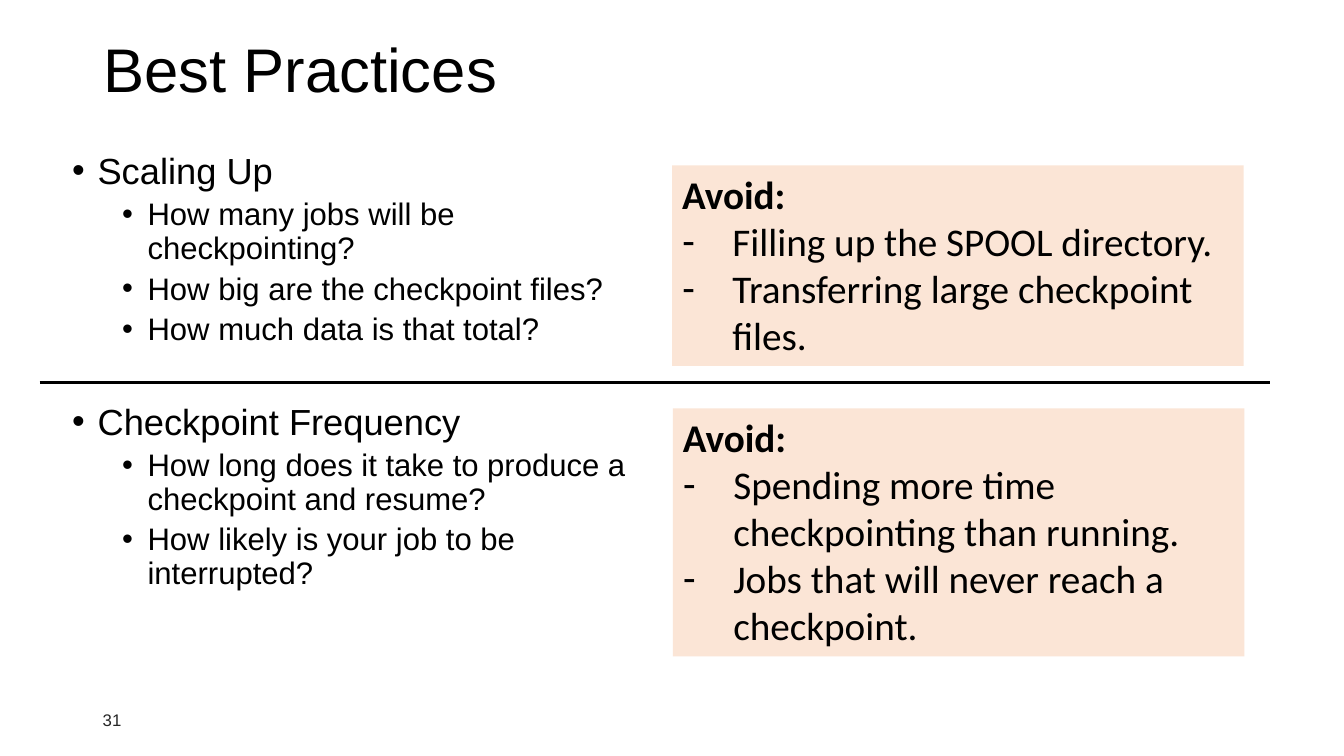
from dataclasses import dataclass

from lxml import etree
from pptx import Presentation
from pptx.dml.color import RGBColor
from pptx.enum.shapes import MSO_CONNECTOR, MSO_SHAPE
from pptx.enum.text import MSO_ANCHOR, PP_ALIGN
from pptx.oxml.ns import qn
from pptx.util import Cm, Pt

RECTANGLE = MSO_SHAPE.RECTANGLE
STRAIGHT = MSO_CONNECTOR.STRAIGHT
TOP, MIDDLE = MSO_ANCHOR.TOP, MSO_ANCHOR.MIDDLE
LEFT = PP_ALIGN.LEFT


@dataclass(frozen=True)
class Theme:
    ink: RGBColor = RGBColor(0x00, 0x00, 0x00)
    page_ink: RGBColor = RGBColor(0x26, 0x26, 0x26)
    callout_fill: RGBColor = RGBColor(0xFB, 0xE5, 0xD6)
    slide_font: str = "Arial"
    callout_font: str = "Calibri"
    title_size: float = 44
    topic_size: float = 25.9
    question_size: float = 22.2
    callout_size: float = 28
    page_size: float = 12
    rule_width: float = 2.25
    line_spacing: float = 0.9


THEME = Theme()

# Boxes are left, top, width, height in centimetres.
TITLE_BOX = (2.36, 0, 29.21, 3.68)
PAGE_BOX = (2.34, 17.65, 9.4, 1.02)
DIVIDER_BOX = (1, 9.63, 31, 0)

SECTIONS = [
    {
        "topic": "Scaling Up",
        "questions": [
            "How many jobs will be checkpointing?",
            "How big are the checkpoint files?",
            "How much data is that total?",
        ],
        "topic_box": (1.57, 3.73, 14.91, 5.5),
        "pitfalls": [
            "Filling up the SPOOL directory.",
            "Transferring large checkpoint files.",
        ],
        "callout_box": (16.94, 4.17, 14.4, 5.05),
    },
    {
        "topic": "Checkpoint Frequency",
        "questions": [
            "How long does it take to produce a checkpoint and resume?",
            "How likely is your job to be interrupted?",
        ],
        "topic_box": (1.57, 10.05, 14.91, 5.5),
        "pitfalls": [
            "Spending more time checkpointing than running.",
            "Jobs that will never reach a checkpoint.",
        ],
        "callout_box": (16.96, 10.29, 14.4, 6.25),
    },
]


def to_lengths(box):
    return [Cm(value) for value in box]


def set_bullet(paragraph, mark, margin, hang):
    properties = paragraph._p.get_or_add_pPr()
    properties.set("marL", str(Cm(margin)))
    properties.set("indent", str(-Cm(hang)))
    bullet_font = etree.SubElement(properties, qn("a:buFont"))
    bullet_font.set("typeface", THEME.slide_font)
    etree.SubElement(properties, qn("a:buChar")).set("char", mark)


def set_font(paragraph, name, size, color=THEME.ink, bold=False):
    font = paragraph.font
    font.name, font.size, font.bold = name, Pt(size), bold
    font.color.rgb = color


def fill_lines(frame, lines):
    """Put one line in each paragraph and return the paragraphs."""
    frame.word_wrap = True
    frame.text = "\n".join(lines)
    for paragraph in frame.paragraphs:
        paragraph.alignment = LEFT
    return frame.paragraphs


def add_label(slide, box, text, size, color):
    """Add a single line, centred vertically in its box."""
    frame = slide.shapes.add_textbox(*to_lengths(box)).text_frame
    frame.vertical_anchor = MIDDLE
    (line,) = fill_lines(frame, [text])
    line.line_spacing = THEME.line_spacing
    set_font(line, THEME.slide_font, size, color)


def add_topic(slide, box, topic, questions):
    frame = slide.shapes.add_textbox(*to_lengths(box)).text_frame
    heading, *details = fill_lines(frame, [topic, *questions])
    heading.space_before = Pt(10)
    set_bullet(heading, "•", 0.64, 0.64)
    set_font(heading, THEME.slide_font, THEME.topic_size)
    for question in details:
        question.level = 1
        question.space_before = Pt(5)
        set_bullet(question, "•", 1.9, 0.64)
        set_font(question, THEME.slide_font, THEME.question_size)
    for paragraph in frame.paragraphs:
        paragraph.line_spacing = THEME.line_spacing


def add_callout(slide, box, pitfalls):
    callout = slide.shapes.add_shape(RECTANGLE, *to_lengths(box))
    callout.shadow.inherit = False
    callout.fill.solid()
    callout.fill.fore_color.rgb = THEME.callout_fill
    callout.line.fill.background()
    callout.text_frame.vertical_anchor = TOP
    heading, *items = fill_lines(callout.text_frame, ["Avoid:", *pitfalls])
    set_font(heading, THEME.callout_font, THEME.callout_size, bold=True)
    for pitfall in items:
        set_bullet(pitfall, "-", 1.27, 1.27)
        set_font(pitfall, THEME.callout_font, THEME.callout_size)


def add_divider(slide, box):
    left, top, width, height = to_lengths(box)
    divider = slide.shapes.add_connector(
        STRAIGHT, left, top, left + width, top + height
    )
    divider.line.color.rgb = THEME.ink
    divider.line.width = Pt(THEME.rule_width)
    etree.SubElement(divider._element.spPr, qn("a:effectLst"))


def build_best_practices(presentation):
    slide = presentation.slides.add_slide(presentation.slide_layouts[6])
    add_label(slide, TITLE_BOX, "Best Practices", THEME.title_size, THEME.ink)
    for section in SECTIONS:
        add_topic(
            slide, section["topic_box"], section["topic"], section["questions"]
        )
        add_callout(slide, section["callout_box"], section["pitfalls"])
    add_divider(slide, DIVIDER_BOX)
    add_label(slide, PAGE_BOX, "31", THEME.page_size, THEME.page_ink)


def main():
    presentation = Presentation()
    presentation.slide_width = Cm(33.87)
    presentation.slide_height = Cm(19.05)
    build_best_practices(presentation)
    presentation.save("out.pptx")


if __name__ == "__main__":
    main()
